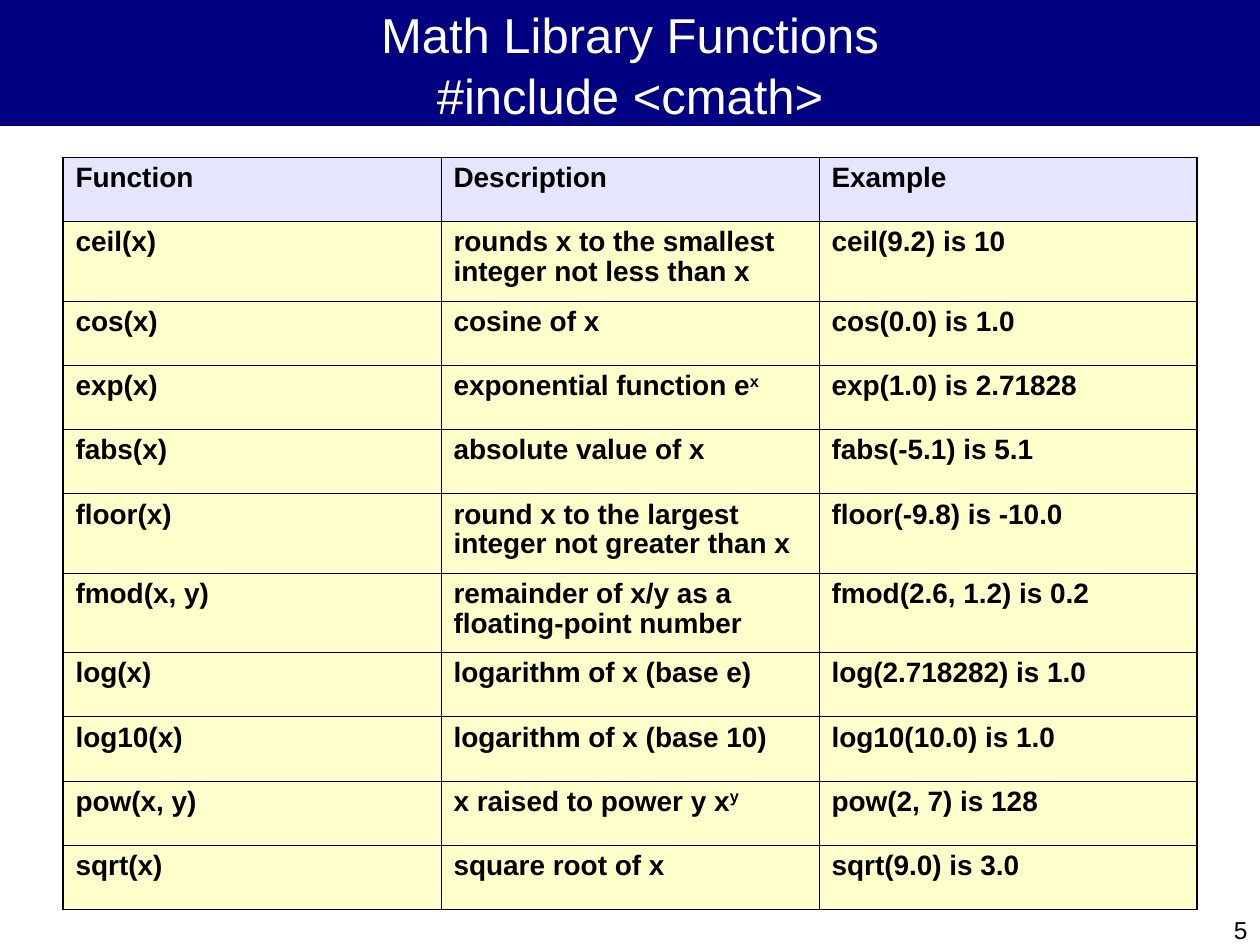
from lxml.etree import SubElement
from pptx import Presentation
from pptx.dml.color import RGBColor
from pptx.enum.shapes import MSO_SHAPE
from pptx.enum.text import MSO_ANCHOR, PP_ALIGN
from pptx.oxml.ns import qn
from pptx.util import Inches, Pt

COLORS = {
    "navy": "000080",
    "white": "FFFFFF",
    "black": "000000",
    "lavender": "E5E5FF",
    "cream": "FFFFCC",
}
FUNCTIONS = [
    ("Function", "Description", "Example"),
    ("ceil(x)", "rounds x to the smallest integer not less than x", "ceil(9.2) is 10"),
    ("cos(x)", "cosine of x", "cos(0.0) is 1.0"),
    ("exp(x)", "exponential function e^x", "exp(1.0) is 2.71828"),
    ("fabs(x)", "absolute value of x", "fabs(-5.1) is 5.1"),
    ("floor(x)", "round x to the largest integer not greater than x", "floor(-9.8) is -10.0"),
    ("fmod(x, y)", "remainder of x/y as a floating-point number", "fmod(2.6, 1.2) is 0.2"),
    ("log(x)", "logarithm of x (base e)", "log(2.718282) is 1.0"),
    ("log10(x)", "logarithm of x (base 10)", "log10(10.0) is 1.0"),
    ("pow(x, y)", "x raised to power y x^y", "pow(2, 7) is 128"),
    ("sqrt(x)", "square root of x", "sqrt(9.0) is 3.0"),
]
TWO_LINE_ROWS = (1, 5, 6)
THIN, THICK = 0.45, 1.08


def add_run(paragraph, text, size, color, bold=False):
    run = paragraph.add_run()
    run.text = text
    run.font.name = "Arial"
    run.font.size = Pt(size)
    run.font.bold = bold
    run.font.color.rgb = RGBColor.from_string(COLORS[color])
    return run


def add_border(cell, side, width):
    line = SubElement(cell._tc.get_or_add_tcPr(), qn(f"a:ln{side}"), w=str(Pt(width)))
    fill = SubElement(line, qn("a:solidFill"))
    SubElement(fill, qn("a:srgbClr"), val=COLORS["black"])


prs = Presentation()
prs.slide_width = Inches(10)
prs.slide_height = Inches(7.5)
slide = prs.slides.add_slide(prs.slide_layouts[6])

page_number = slide.shapes.add_textbox(Inches(5), Inches(7.25), Inches(5), Inches(0.25))
page_number.text_frame.word_wrap = True
page_number.text_frame.vertical_anchor = MSO_ANCHOR.MIDDLE
number_line = page_number.text_frame.paragraphs[0]
number_line.alignment = PP_ALIGN.RIGHT
add_run(number_line, "5", 14, "black")

banner = slide.shapes.add_shape(MSO_SHAPE.RECTANGLE, 0, 0, Inches(10), Inches(1))
banner.shadow.inherit = False
banner.fill.solid()
banner.fill.fore_color.rgb = RGBColor.from_string(COLORS["navy"])
banner.line.fill.background()
banner.text_frame.word_wrap = True
banner.text_frame.vertical_anchor = MSO_ANCHOR.MIDDLE
heading = banner.text_frame.paragraphs[0]
heading.alignment = PP_ALIGN.CENTER
heading.line_spacing = 1.05
add_run(heading, "Math Library Functions", 28, "white")
heading.add_line_break()
add_run(heading, "#include <cmath>", 28, "white")

last_row, last_column = len(FUNCTIONS) - 1, len(FUNCTIONS[0]) - 1
reference = slide.shapes.add_table(
    last_row + 1, last_column + 1, Inches(0.5), Inches(1.25), Inches(9), Inches(6.01)
).table
for column in reference.columns:
    column.width = Inches(3)

for r, entry in enumerate(FUNCTIONS):
    reference.rows[r].height = Inches(0.63 if r in TWO_LINE_ROWS else 0.51)
    for c, text in enumerate(entry):
        cell = reference.cell(r, c)
        cell.margin_left = cell.margin_right = Inches(0.1)
        cell.margin_top = cell.margin_bottom = Inches(0.05)
        outer_edges = {"L": c == 0, "R": c == last_column, "T": r == 0, "B": r == last_row}
        for side, is_outer in outer_edges.items():
            add_border(cell, side, THICK if is_outer else THIN)
        cell.fill.solid()
        cell.fill.fore_color.rgb = RGBColor.from_string(COLORS["cream" if r else "lavender"])
        paragraph = cell.text_frame.paragraphs[0]
        paragraph.line_spacing = 0.96
        base, _, exponent = text.partition("^")
        add_run(paragraph, base, 16, "black", bold=True)
        if exponent:
            raised = add_run(paragraph, exponent, 16, "black", bold=True)
            raised.font._element.set("baseline", "30000")

prs.save("out.pptx")
